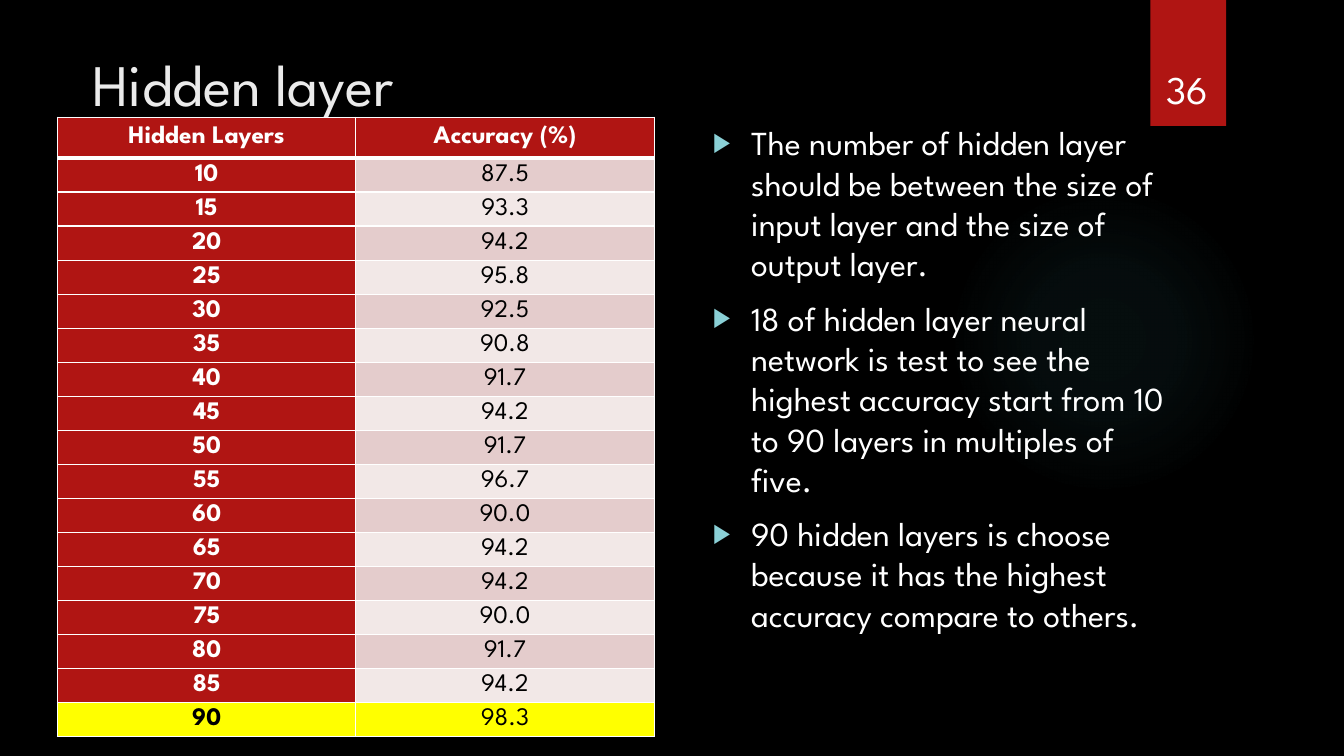
from dataclasses import dataclass

from pptx import Presentation
from pptx.dml.color import RGBColor
from pptx.enum.shapes import MSO_SHAPE
from pptx.enum.text import MSO_ANCHOR, PP_ALIGN
from pptx.oxml import parse_xml
from pptx.oxml.ns import qn
from pptx.util import Inches, Pt

OVAL, RECTANGLE = MSO_SHAPE.OVAL, MSO_SHAPE.RECTANGLE
TOP, MIDDLE, BOTTOM = MSO_ANCHOR.TOP, MSO_ANCHOR.MIDDLE, MSO_ANCHOR.BOTTOM
LEFT, CENTER = PP_ALIGN.LEFT, PP_ALIGN.CENTER
NAMESPACE = 'xmlns:a="http://schemas.openxmlformats.org/drawingml/2006/main"'

HEADINGS = ("Hidden Layers", "Accuracy (%)")
ACCURACIES = (
    "87.5", "93.3", "94.2", "95.8", "92.5", "90.8", "91.7", "94.2", "91.7",
    "96.7", "90.0", "94.2", "94.2", "90.0", "91.7", "94.2", "98.3",
)
POINTS = (
    "The number of hidden layer should be between the size of input layer "
    "and the size of output layer.",
    "18 of hidden layer neural network is test to see the highest accuracy "
    "start from 10 to 90 layers in multiples of five.",
    "90 hidden layers is choose because it has the highest accuracy compare "
    "to others.",
)


@dataclass(frozen=True)
class Theme:
    font: str = "League Spartan"
    background: str = "000000"
    accent: str = "B01513"
    glow: str = "50B9C1"
    bullet: str = "8AD0D6"
    title: str = "EBEBEB"
    light: str = "FFFFFF"
    dark: str = "000000"
    bands: tuple = ("E4CCCC", "F2E8E7")
    highlight: str = "FFFF00"
    title_size: int = 42
    number_size: int = 28
    body_size: int = 24
    table_size: int = 18


def write(para, text, *, font, size, color, bold=False, align=LEFT):
    span = para.add_run()
    span.text = text
    span.font.name = font
    span.font.size = Pt(size)
    span.font.bold = bold
    span.font.color.rgb = RGBColor.from_string(color)
    para.alignment = align


class SlideBuilder:
    """Draws styled elements on one page, on a grid of 100 columns by 100 rows."""

    def __init__(self, deck, theme):
        self.theme = theme
        self.column = deck.slide_width / 100
        self.row = deck.slide_height / 100
        self.page = deck.slides.add_slide(deck.slide_layouts[6])
        self.paint(self.page.background.fill, theme.background)

    def place(self, left, top, width, height):
        return (round(left * self.column), round(top * self.row),
                round(width * self.column), round(height * self.row))

    def paint(self, fill, color):
        fill.solid()
        fill.fore_color.rgb = RGBColor.from_string(color)

    def shape(self, kind, area, color):
        shape = self.page.shapes.add_shape(kind, *self.place(*area))
        shape.shadow.inherit = False
        shape.line.fill.background()
        self.paint(shape.fill, color)
        return shape

    def glow(self, area, stops):
        color = self.theme.glow
        shape = self.shape(OVAL, area, color)
        marks = "".join(
            f'<a:gs pos="{place * 1000}"><a:srgbClr val="{color}">'
            f'<a:alpha val="{alpha * 1000}"/></a:srgbClr></a:gs>'
            for place, alpha in stops)
        gradient = parse_xml(
            f'<a:gradFill {NAMESPACE}><a:gsLst>{marks}</a:gsLst>'
            '<a:path path="circle"><a:fillToRect l="50000" t="50000" '
            'r="50000" b="50000"/></a:path></a:gradFill>')
        properties = shape.element.spPr
        properties.replace(properties.find(qn("a:solidFill")), gradient)

    def text(self, area, lines, *, size, color, align=LEFT, anchor=TOP, bullets=False):
        frame = self.page.shapes.add_textbox(*self.place(*area)).text_frame
        frame.word_wrap = True
        frame.vertical_anchor = anchor
        for index, line in enumerate(lines):
            para = frame.add_paragraph() if index else frame.paragraphs[0]
            write(para, line, font=self.theme.font, size=size, color=color, align=align)
            if bullets:
                self.bullet(para)

    def bullet(self, para):
        para.space_before = Pt(10)
        properties = para._p.get_or_add_pPr()
        indent = Inches(0.38)
        properties.set("marL", str(indent))
        properties.set("indent", str(-indent))
        for mark in (f'<a:buClr {NAMESPACE}><a:srgbClr val="{self.theme.bullet}"/></a:buClr>',
                     f'<a:buSzPct {NAMESPACE} val="80000"/>',
                     f'<a:buFont {NAMESPACE} typeface="Arial"/>',
                     f'<a:buChar {NAMESPACE} char="▶"/>'):
            properties.append(parse_xml(mark))

    def table(self, area, headings, records, header_rows):
        theme = self.theme
        frame = self.page.shapes.add_table(
            len(records) + 1, len(headings), *self.place(*area))
        table = frame.table
        table.first_row = table.horz_banding = False
        row_height = (area[3] - header_rows) / len(records)
        for index, values in enumerate((headings, *records)):
            rows = row_height if index else header_rows
            table.rows[index].height = round(rows * self.row)
            for position, value in enumerate(values):
                is_key = index == 0 or position == 0
                fill = theme.accent if is_key else theme.bands[(index - 1) % 2]
                color = theme.light if is_key else theme.dark
                if index == len(records):
                    fill, color = theme.highlight, theme.dark
                cell = table.cell(index, position)
                self.borders(cell, top=3 if index == 1 else 1, bottom=1 if index else 3)
                self.paint(cell.fill, fill)
                cell.vertical_anchor = MIDDLE
                cell.margin_left = cell.margin_right = Inches(0.06)
                cell.margin_top = cell.margin_bottom = 0
                write(cell.text_frame.paragraphs[0], value, font=theme.font,
                      size=theme.table_size, color=color, bold=is_key, align=CENTER)

    def borders(self, cell, *, top, bottom):
        properties = cell._tc.get_or_add_tcPr()
        for side, width in (("L", 1), ("R", 1), ("T", top), ("B", bottom)):
            properties.append(parse_xml(
                f'<a:ln{side} {NAMESPACE} w="{Pt(width)}"><a:solidFill>'
                f'<a:srgbClr val="{self.theme.light}"/></a:solidFill></a:ln{side}>'))


def main():
    theme = Theme()
    deck = Presentation()
    deck.slide_width, deck.slide_height = Inches(13.33), Inches(7.5)
    slide = SlideBuilder(deck, theme)
    slide.glow((70.58, 24.4, 23.1, 41.07), ((0, 7), (36, 6), (69, 0)))
    slide.shape(RECTANGLE, (85.6, 0, 5.63, 16.67), theme.accent)
    slide.text((6.15, 5.6, 77.2, 11.87), ["Hidden layer"],
               size=theme.title_size, color=theme.title)
    records = [(str(10 + 5 * step), accuracy) for step, accuracy in enumerate(ACCURACIES)]
    slide.table((4.28, 15.5, 44.4, 82), HEADINGS, records, header_rows=5.4)
    slide.text((52.3, 15.5, 36.1, 61.2), POINTS,
               size=theme.body_size, color=theme.light, bullets=True)
    slide.text((84.9, 4.27, 6.9, 11.2), ["36"], size=theme.number_size,
               color=theme.light, align=CENTER, anchor=BOTTOM)
    deck.save("out.pptx")


if __name__ == "__main__":
    main()
